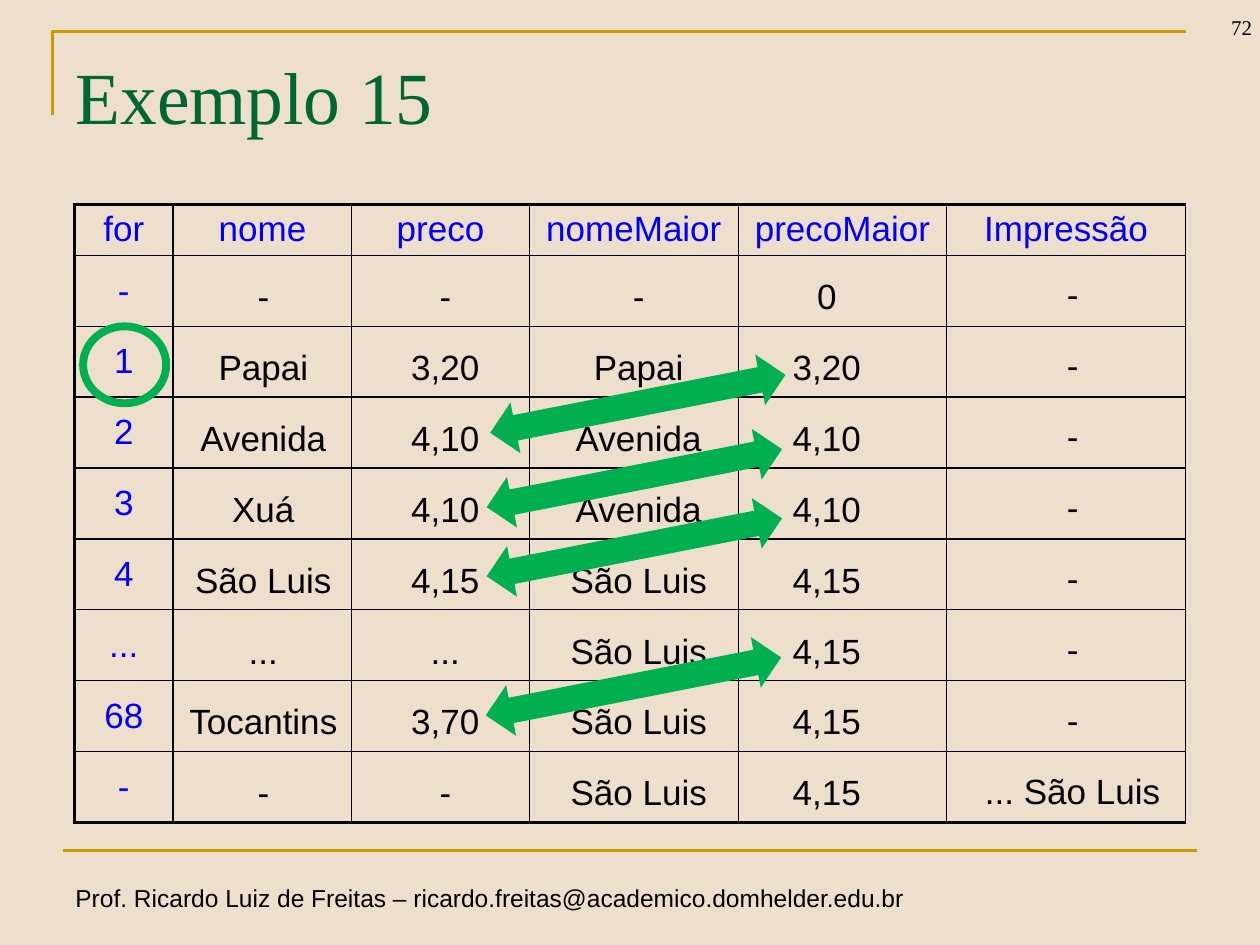
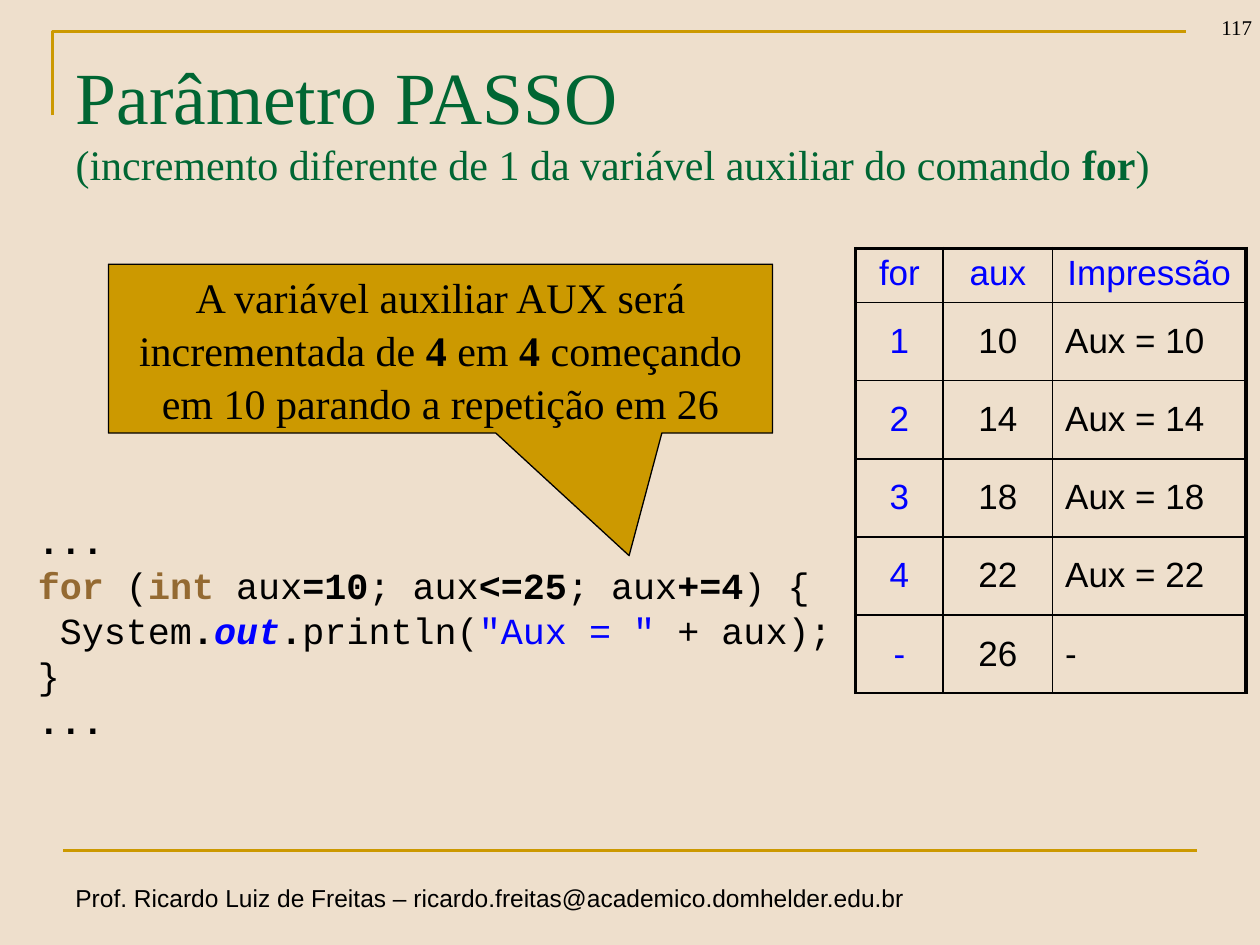
from dataclasses import dataclass
from typing import NamedTuple, Optional, Sequence, Union

from lxml import etree
from pptx import Presentation
from pptx.dml.color import RGBColor
from pptx.enum.shapes import MSO_CONNECTOR, MSO_SHAPE
from pptx.enum.text import MSO_ANCHOR, MSO_AUTO_SIZE, PP_ALIGN
from pptx.oxml.ns import qn
from pptx.util import Pt

LEFT, CENTER, RIGHT = PP_ALIGN.LEFT, PP_ALIGN.CENTER, PP_ALIGN.RIGHT
TOP, MIDDLE, BOTTOM = MSO_ANCHOR.TOP, MSO_ANCHOR.MIDDLE, MSO_ANCHOR.BOTTOM
STRAIGHT = MSO_CONNECTOR.STRAIGHT
DOUBLE_ARROW = MSO_SHAPE.LEFT_RIGHT_ARROW
OVAL = MSO_SHAPE.OVAL
CALLOUT = MSO_SHAPE.RECTANGULAR_CALLOUT
NO_AUTO_SIZE = MSO_AUTO_SIZE.NONE
TITLE_ONLY = 5


@dataclass(frozen=True)
class Theme:
    background: str = "EEDFCC"
    gold: str = "CC9900"
    title: str = "006633"
    text: str = "000000"
    blue: str = "0000FF"
    keyword: str = "946A32"
    mark: str = "00B050"
    sans: str = "Arial"
    serif: str = "Times New Roman"
    mono: str = "Courier New"
    title_size: float = 42
    subtitle_size: float = 24
    code_size: float = 21
    table_size: float = 20
    footer_size: float = 14
    number_size: float = 12
    thick: float = 2.25
    thin: float = 1


THEME = Theme()


class Run(NamedTuple):
    text: str
    bold: bool = False
    italic: bool = False
    color: Optional[str] = None
    size: Optional[float] = None


class Box(NamedTuple):
    left: float
    top: float
    width: float
    height: float

    def lengths(self) -> list:
        return [Pt(value) for value in self]


class Grid(NamedTuple):
    box: Box
    columns: Sequence[float]
    header_height: float
    row_height: float
    rows: Sequence[Sequence[str]]
    right_edge: float
    bottom_edge: float
    left_aligned: Sequence[int] = ()


class LabelColumn(NamedTuple):
    center: float
    first_top: float
    texts: Sequence[str]


Text = Union[str, Sequence[Sequence[Run]]]

FOOTER = "Prof. Ricardo Luiz de Freitas – ricardo.freitas@academico.domhelder.edu.br"
ROW_HEIGHT = 40.5

PRICE_GRID = Grid(
    Box(42.5, 117, 635, 353), (56.5, 102, 101.5, 119.5, 119, 136.5), 29, ROW_HEIGHT,
    [("for", "nome", "preco", "nomeMaior", "precoMaior", "Impressão"),
     *[(step,) for step in ("-", "1", "2", "3", "4", "...", "68", "-")]],
    THEME.thin, THEME.thick)

PRICE_LABELS = [
    LabelColumn(150.5, 157, ("-", "Papai", "Avenida", "Xuá", "São Luis", "...", "Tocantins", "-")),
    LabelColumn(254.5, 157, ("-", "3,20", "4,10", "4,10", "4,15", "...", "3,70", "-")),
    LabelColumn(365, 157, ("-", "Papai", "Avenida", "Avenida") + ("São Luis",) * 4),
    LabelColumn(472.5, 157, ("0", "3,20", "4,10", "4,10") + ("4,15",) * 4),
    LabelColumn(613, 156, ("-",) * 7 + ("... São Luis",)),
]
PRICE_WIDTH = 39
LABEL_WIDTHS = {"-": 7, "0": 11, "Papai": 51, "Avenida": 72, "Xuá": 36, "São Luis": 78,
                "...": 17, "Tocantins": 84, "... São Luis": 100}
ARROW_CORNERS = [(278.5, 216), (276.5, 258.5), (276.5, 298), (276, 377.5)]

STEP_GRID = Grid(
    Box(489, 142, 223, 254), (50, 62.5, 110.5), 31, 44.6,
    [("for", "aux", "Impressão"),
     *[(str(turn), str(aux), f"Aux = {aux}") for turn, aux in enumerate(range(10, 26, 4), 1)],
     ("-", "26", "-")],
    THEME.thick, THEME.thin, left_aligned=(2,))

STEP_TITLE = [
    [Run("Parâmetro PASSO")],
    [Run("(incremento diferente de 1 da variável auxiliar do comando ", size=THEME.subtitle_size),
     Run("for", bold=True, size=THEME.subtitle_size), Run(")", size=THEME.subtitle_size)],
]
CALLOUT_TEXT = [[
    Run("A variável auxiliar AUX será incrementada de "), Run("4", bold=True), Run(" em "),
    Run("4", bold=True), Run(" começando em 10 parando a repetição em 26")]]
CODE = [
    [Run("...", bold=True)],
    [Run("for", bold=True, color=THEME.keyword), Run(" ("),
     Run("int ", bold=True, color=THEME.keyword), Run("aux"), Run("=10", bold=True),
     Run("; aux"), Run("<=25", bold=True), Run("; aux"), Run("+=4", bold=True), Run(") {")],
    [Run(" System"), Run(".", bold=True), Run("out", bold=True, italic=True, color=THEME.blue),
     Run(".", bold=True), Run("println("), Run('"Aux = "', color=THEME.blue), Run(" + aux);")],
    [Run("}")],
    [Run("...", bold=True)],
]


def rgb(color: str) -> RGBColor:
    return RGBColor.from_string(color)


def write_text(frame, text: Text, *, font: str, size: float, color: str = THEME.text,
               align=LEFT, anchor=TOP, margins=(7.2, 3.6, 7.2, 3.6), wrap: bool = True,
               line_spacing: Optional[float] = None, space_before: float = 0) -> None:
    frame.auto_size = NO_AUTO_SIZE
    frame.word_wrap = wrap
    frame.vertical_anchor = anchor
    (frame.margin_left, frame.margin_top,
     frame.margin_right, frame.margin_bottom) = [Pt(margin) for margin in margins]
    fill_paragraphs(frame, text, font, size, color, align, line_spacing, space_before)


def fill_paragraphs(frame, text: Text, font: str, size: float, color: str, align,
                    line_spacing: Optional[float] = None, space_before: float = 0) -> None:
    lines = [[Run(text)]] if isinstance(text, str) else text
    for index, line in enumerate(lines):
        paragraph = frame.add_paragraph() if index else frame.paragraphs[0]
        paragraph.alignment = align
        if line_spacing:
            paragraph.line_spacing = line_spacing
        if index and space_before:
            paragraph.space_before = Pt(space_before)
        for part in line:
            run = paragraph.add_run()
            run.text = part.text
            run.font.name = font
            run.font.size = Pt(part.size or size)
            run.font.bold = part.bold
            run.font.italic = part.italic
            run.font.color.rgb = rgb(part.color or color)


def add_text(slide, box: Box, text: Text, **text_format) -> None:
    write_text(slide.shapes.add_textbox(*box.lengths()).text_frame, text, **text_format)


def style_shape(shape, *, fill: Optional[str] = None, line: Optional[str] = None,
                line_width: float = THEME.thin) -> None:
    shape.shadow.inherit = False
    if fill:
        shape.fill.solid()
        shape.fill.fore_color.rgb = rgb(fill)
    else:
        shape.fill.background()
    if line:
        shape.line.color.rgb = rgb(line)
        shape.line.width = Pt(line_width)
    else:
        shape.line.fill.background()


def add_frame(slide, number: str) -> None:
    builder = slide.shapes.build_freeform(Pt(30), Pt(66))
    builder.add_line_segments([(Pt(30), Pt(18)), (Pt(678), Pt(18))], close=False)
    style_shape(builder.convert_to_shape(), line=THEME.gold, line_width=1.5)
    rule = slide.shapes.add_connector(STRAIGHT, Pt(36), Pt(486), Pt(684), Pt(486))
    rule.line.color.rgb = rgb(THEME.gold)
    rule.line.width = Pt(1.5)
    etree.SubElement(rule.element.spPr, qn("a:effectLst"))
    add_text(slide, Box(36, 501, 494, 24.5), FOOTER, font=THEME.sans,
             size=THEME.footer_size, wrap=False)
    add_text(slide, Box(669, 0, 51, 26), number, font=THEME.serif, size=THEME.number_size,
             align=RIGHT, anchor=BOTTOM, margins=(4.5, 3.6, 4.5, 3.6))


def start_slide(presentation, number: str, title: Text):
    slide = presentation.slides.add_slide(presentation.slide_layouts[TITLE_ONLY])
    add_frame(slide, number)
    shape = slide.shapes.title
    shape.left, shape.top, shape.width, shape.height = Box(36, 21.5, 648, 90).lengths()
    write_text(shape.text_frame, title, font=THEME.serif, size=THEME.title_size,
               color=THEME.title, margins=(7.2, 7.5, 7.2, 3.6))
    return slide


def set_borders(cell, left: float, right: float, top: float, bottom: float) -> None:
    properties = cell._tc.get_or_add_tcPr()
    for tag, width in (("a:lnL", left), ("a:lnR", right), ("a:lnT", top), ("a:lnB", bottom)):
        line = etree.SubElement(properties, qn(tag), w=str(Pt(width)))
        fill = etree.SubElement(line, qn("a:solidFill"))
        etree.SubElement(fill, qn("a:srgbClr"), val=THEME.text)


def add_grid(slide, grid: Grid) -> None:
    last_row, last_column = len(grid.rows) - 1, len(grid.columns) - 1
    table = slide.shapes.add_table(last_row + 1, last_column + 1, *grid.box.lengths()).table
    table.first_row = table.horz_banding = False
    for column, width in zip(table.columns, grid.columns):
        column.width = Pt(width)
    for row_index, values in enumerate(grid.rows):
        table.rows[row_index].height = Pt(grid.row_height if row_index else grid.header_height)
        for column_index in range(last_column + 1):
            cell = table.cell(row_index, column_index)
            set_borders(cell,
                        THEME.thin if column_index else THEME.thick,
                        grid.right_edge if column_index == last_column else THEME.thin,
                        THEME.thin if row_index else THEME.thick,
                        grid.bottom_edge if row_index == last_row else THEME.thin)
            cell.fill.background()
            cell.margin_top = cell.margin_bottom = Pt(3)
            cell.vertical_anchor = MIDDLE if row_index else TOP
            if column_index < len(values):
                is_heading = row_index == 0 or column_index == 0
                is_left = row_index > 0 and column_index in grid.left_aligned
                fill_paragraphs(cell.text_frame, values[column_index], THEME.sans,
                                THEME.table_size, THEME.blue if is_heading else THEME.text,
                                LEFT if is_left else CENTER)


def add_labels(slide, column: LabelColumn) -> None:
    for index, text in enumerate(column.texts):
        width = LABEL_WIDTHS.get(text, PRICE_WIDTH)
        box = Box(column.center - width / 2, column.first_top + index * ROW_HEIGHT, width, 25)
        add_text(slide, box, text, font=THEME.sans, size=THEME.table_size, align=CENTER,
                 margins=(0, 0, 0, 0), wrap=False)


def build_example(presentation) -> None:
    slide = start_slide(presentation, "72", "Exemplo 15")
    add_grid(slide, PRICE_GRID)
    for column in PRICE_LABELS:
        add_labels(slide, column)
    for left, top in ARROW_CORNERS:
        arrow = slide.shapes.add_shape(DOUBLE_ARROW, *Box(left, top, 172, 29.5).lengths())
        arrow.rotation = 348.9
        style_shape(arrow, fill=THEME.mark)
    ring = slide.shapes.add_shape(OVAL, *Box(47.5, 186.5, 47.5, 44).lengths())
    style_shape(ring, line=THEME.mark, line_width=4.5)


def build_step(presentation) -> None:
    slide = start_slide(presentation, "117", STEP_TITLE)
    add_text(slide, Box(14.5, 292.5, 499, 131), CODE, font=THEME.mono, size=THEME.code_size,
             margins=(7.2, 8.5, 7.2, 3.6), line_spacing=0.8, space_before=5.5)
    add_grid(slide, STEP_GRID)
    callout = slide.shapes.add_shape(CALLOUT, *Box(62, 151, 379.5, 96.5).lengths())
    callout.adjustments[0], callout.adjustments[1] = 0.284, 1.226
    style_shape(callout, fill=THEME.gold, line=THEME.text, line_width=0.75)
    write_text(callout.text_frame, CALLOUT_TEXT, font=THEME.serif, size=THEME.subtitle_size,
               align=CENTER, anchor=MIDDLE, line_spacing=1.05)


def main() -> None:
    presentation = Presentation()
    presentation.slide_width, presentation.slide_height = Pt(720), Pt(540)
    background = presentation.slide_master.background.fill
    background.solid()
    background.fore_color.rgb = rgb(THEME.background)
    build_example(presentation)
    build_step(presentation)
    presentation.save("out.pptx")


if __name__ == "__main__":
    main()
